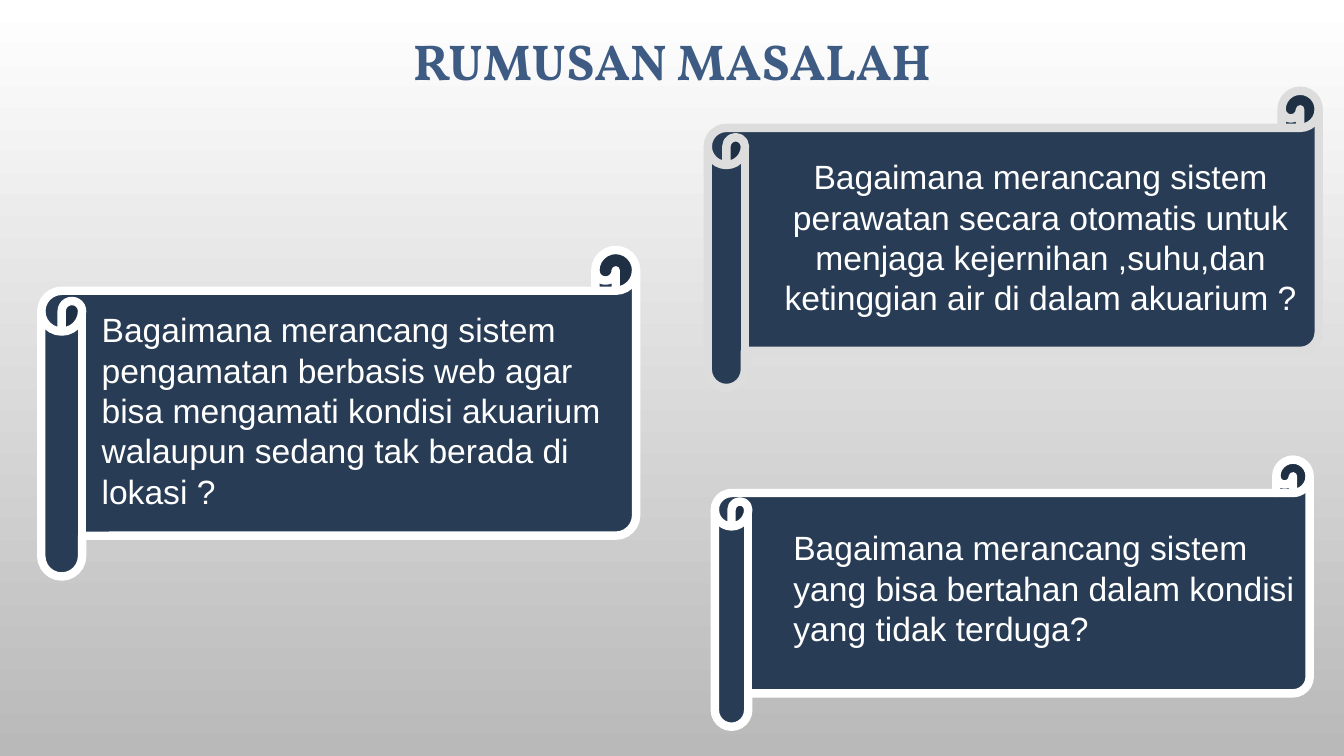
from dataclasses import dataclass

from pptx import Presentation
from pptx.dml.color import RGBColor
from pptx.enum.shapes import MSO_SHAPE as Shape
from pptx.enum.text import MSO_ANCHOR as Anchor, MSO_AUTO_SIZE as AutoSize, PP_ALIGN as Align
from pptx.slide import Slide
from pptx.util import Inches, Pt

WHITE, SILVER, NAVY, BLUE = "FFFFFF", "DDDDDD", "283C55", "3E5C83"
Box = tuple[float, float, float, float]


@dataclass
class Question:
    scroll: Box
    area: Box
    text: str
    outline: str = WHITE
    align: Align = Align.LEFT
    fit: AutoSize = AutoSize.SHAPE_TO_FIT_TEXT


QUESTIONS = [
    Question((7.02, 0.9, 6.06, 2.95), (7.66, 1.5, 5.32, 1.8),
             "Bagaimana merancang sistem perawatan secara otomatis untuk menjaga "
             "kejernihan ,suhu,dan ketinggian air di dalam akuarium ?",
             SILVER, Align.CENTER, AutoSize.NONE),
    Question((0.41, 2.48, 5.9, 3.24), (0.91, 3.02, 5.2, 2.1),
             "Bagaimana merancang sistem pengamatan berbasis web agar bisa mengamati "
             "kondisi akuarium walaupun sedang tak berada di lokasi ?"),
    Question((7.09, 4.56, 5.9, 2.65), (7.77, 5.18, 5.22, 1.31),
             "Bagaimana merancang sistem yang bisa bertahan dalam kondisi yang tidak terduga?"),
]


def rgb(value: str) -> RGBColor:
    return RGBColor.from_string(value)


def inches(box: Box) -> list[Inches]:
    return [Inches(length) for length in box]


def paint_background(slide: Slide) -> None:
    fill = slide.background.fill
    fill.gradient()
    fill.gradient_angle = 270
    for stop, position, color in zip(fill.gradient_stops, (0, 1), (WHITE, "B9B9B9")):
        stop.position = position
        stop.color.rgb = rgb(color)


def add_title(slide: Slide, text: str) -> None:
    frame = slide.shapes.add_textbox(*inches((-0.01, 0.29, 13.35, 0.61))).text_frame
    frame.word_wrap = True
    frame.auto_size = AutoSize.SHAPE_TO_FIT_TEXT
    frame.vertical_anchor = Anchor.MIDDLE
    frame.margin_left = frame.margin_right = frame.margin_top = frame.margin_bottom = 0
    line = frame.paragraphs[0]
    line.alignment = Align.CENTER
    title = line.add_run()
    title.text = text
    title.font.name, title.font.size, title.font.bold = "Vollkorn", Pt(36), True
    title.font.color.rgb = rgb(BLUE)


def add_question(slide: Slide, question: Question) -> None:
    scroll = slide.shapes.add_shape(Shape.HORIZONTAL_SCROLL, *inches(question.scroll))
    scroll.shadow.inherit = False
    scroll.fill.solid()
    scroll.fill.fore_color.rgb = rgb(NAVY)
    scroll.line.color.rgb = rgb(question.outline)
    scroll.line.width = Pt(6)

    frame = slide.shapes.add_textbox(*inches(question.area)).text_frame
    frame.word_wrap = True
    frame.auto_size = question.fit
    paragraph = frame.paragraphs[0]
    paragraph.alignment = question.align
    paragraph.line_spacing = Pt(28.8)
    wording = paragraph.add_run()
    wording.text = question.text
    wording.font.name, wording.font.size = "Arial", Pt(24)
    wording.font.color.rgb = rgb(WHITE)


def main() -> None:
    deck = Presentation()
    deck.slide_width, deck.slide_height = Inches(13.33), Inches(7.5)
    slide = deck.slides.add_slide(deck.slide_layouts[6])
    paint_background(slide)
    add_title(slide, "RUMUSAN MASALAH")
    for question in QUESTIONS:
        add_question(slide, question)
    deck.save("out.pptx")


if __name__ == "__main__":
    main()
